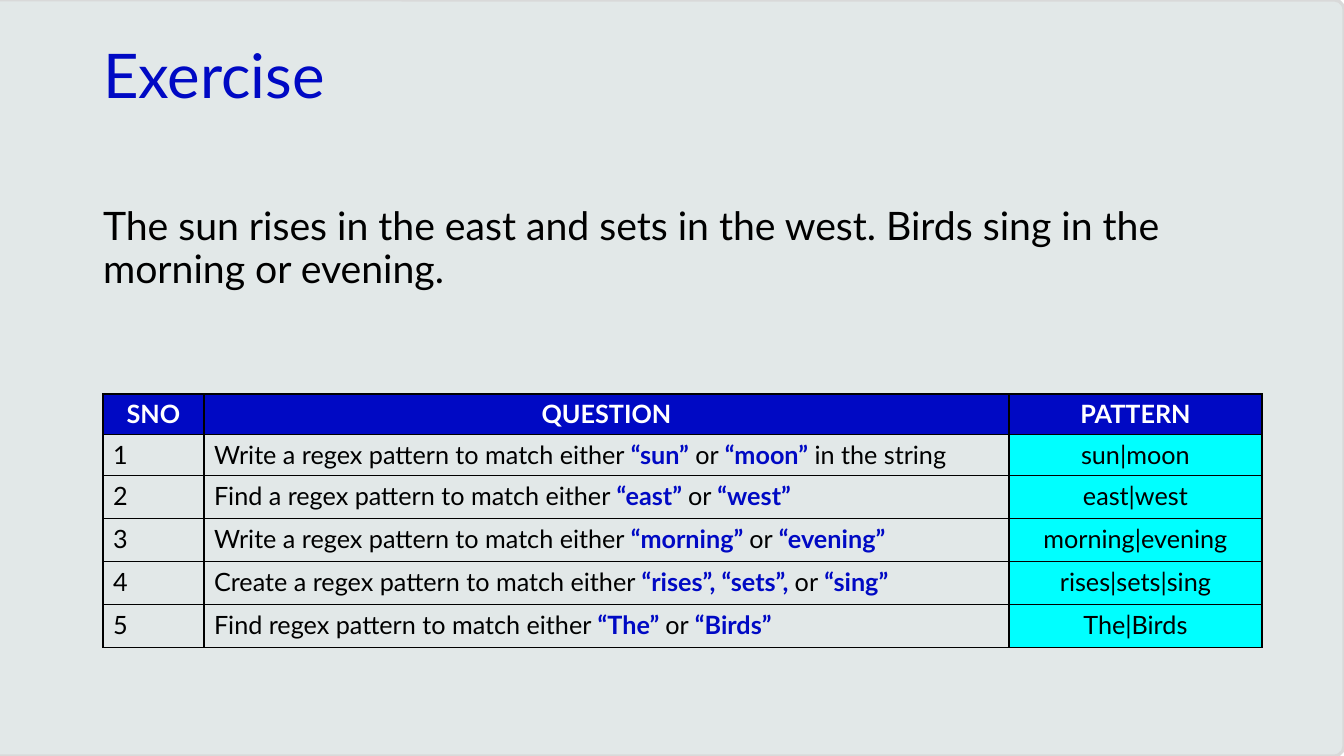
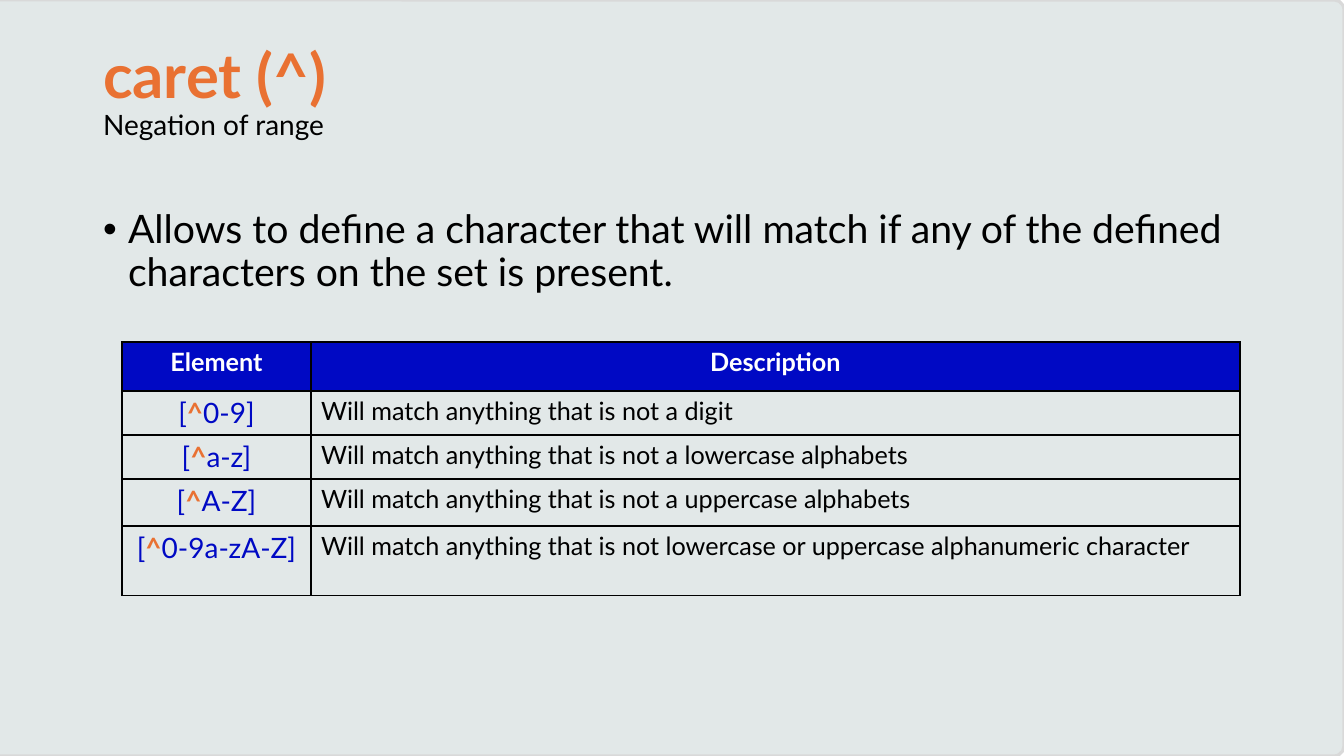
from itertools import cycle

from lxml import etree
from pptx import Presentation
from pptx.dml.color import RGBColor
from pptx.enum.shapes import MSO_SHAPE
from pptx.enum.text import MSO_ANCHOR, MSO_AUTO_SIZE, PP_ALIGN
from pptx.oxml.ns import qn
from pptx.util import Emu, Pt

LEFT, CENTER = PP_ALIGN.LEFT, PP_ALIGN.CENTER
TOP = MSO_ANCHOR.TOP
NO_FIT = MSO_AUTO_SIZE.NONE
ROUND_RECT = MSO_SHAPE.ROUNDED_RECTANGLE
TITLE_AND_BODY = 1
SLIDE_W, SLIDE_H = 1344, 756
EMU_PER_PX = 914400 / 100.8


class Theme:
    font = "Lato"
    black, white = "000000", "FFFFFF"
    blue, orange, cyan = "0009C4", "E97132", "00FFFF"
    panel, panel_line = "E2E8E8", "D9D9D9"
    # Text styles: size, bold, colour
    title = (44, False, blue)
    title_strong = (44, True, orange)
    subtitle = (20, False, black)
    body = (28, False, black)
    head = (18, True, white)
    cell = (18, False, black)
    cell_strong = (18, True, blue)
    code = (20, False, blue)
    code_strong = (20, True, orange)


# Table columns: plain style, strong style, alignment, fill
TEXT_COLUMN = (Theme.cell, Theme.cell_strong, LEFT, None)
ANSWER_COLUMN = (Theme.cell, Theme.cell_strong, CENTER, Theme.cyan)
CODE_COLUMN = (Theme.code, Theme.code_strong, CENTER, None)
HEAD = (Theme.head, Theme.head, CENTER, Theme.blue)

EXERCISE_ROWS = [
    ("SNO", "QUESTION", "PATTERN"),
    ("1", "Write a regex pattern to match either *“sun”* or *“moon”* in the string", "sun|moon"),
    ("2", "Find a regex pattern to match either *“east” *or *“west”*", "east|west"),
    ("3", "Write a regex pattern to match either *“morning” *or* “evening”*", "morning|evening"),
    ("4", "Create a regex pattern to match either *“rises”, “sets”, *or* “sing”*", "rises|sets|sing"),
    ("5", "Find regex pattern to match either *“The” *or* “Birds”*", "The|Birds"),
]
CARET_ROWS = [
    ("Element", "Description"),
    ("[*^*0-9]", "Will match anything that is not a digit"),
    ("[*^*a-z]", "Will match anything that is not a lowercase alphabets"),
    ("[*^*A-Z]", "Will match anything that is not a uppercase alphabets"),
    ("[*^*0-9a-zA-Z]",
     "Will match anything that is not lowercase or uppercase alphanumeric character"),
]


def px(n):
    return Emu(round(n * EMU_PER_PX))


def rgb(value):
    return RGBColor.from_string(value)


def set_attrs(obj, **values):
    for name, value in values.items():
        setattr(obj, name, value)


def add_run(p, text, style):
    size, bold, color = style
    r = p.add_run()
    r.text = text
    set_attrs(r.font, name=Theme.font, size=Pt(size), bold=bold)
    r.font.color.rgb = rgb(color)


def add_marked_text(p, text, plain, strong):
    """Write text, with the parts between asterisks in the strong style."""
    for part, style in zip(text.split("*"), cycle((plain, strong))):
        if part:
            add_run(p, part, style)


def add_backdrop(master, slide):
    """Put the rounded panel behind everything on the slide master."""
    sp = slide.shapes.add_shape(ROUND_RECT, px(-12), 0, px(SLIDE_W + 12), px(SLIDE_H))
    sp.adjustments[0] = 0.013
    sp.shadow.inherit = False
    sp.fill.solid()
    sp.fill.fore_color.rgb = rgb(Theme.panel)
    sp.line.color.rgb = rgb(Theme.panel_line)
    sp.line.width = Pt(2.25)
    master.element.cSld.spTree.insert(2, sp.element)


def place_placeholder(sp, box):
    """Move a placeholder to box and return its first paragraph."""
    set_attrs(sp, **dict(zip(("left", "top", "width", "height"), map(px, box))))
    tf = sp.text_frame
    set_attrs(tf, word_wrap=True, auto_size=NO_FIT, vertical_anchor=TOP)
    p = tf.paragraphs[0]
    set_attrs(p, alignment=LEFT, line_spacing=0.9)
    return p


def fill_title(slide, box, lines):
    p = place_placeholder(slide.shapes.title, box)
    for i, (text, style) in enumerate(lines):
        if i:
            p.add_line_break()
        add_run(p, text, style)


def fill_body(slide, box, text, bullet=None):
    p = place_placeholder(slide.placeholders[1], box)
    p.space_before = Pt(10)
    indent = px(25) if bullet else 0
    pPr = p._p.get_or_add_pPr()
    pPr.set("marL", str(indent))
    pPr.set("indent", str(-indent))
    if bullet:
        etree.SubElement(pPr, qn("a:buFont"), typeface="Arial")
        etree.SubElement(pPr, qn("a:buChar"), char=bullet)
    else:
        etree.SubElement(pPr, qn("a:buNone"))
    add_run(p, text, Theme.body)


def add_borders(cell):
    tcPr = cell._tc.get_or_add_tcPr()
    for side in ("a:lnL", "a:lnR", "a:lnT", "a:lnB"):
        ln = etree.SubElement(tcPr, qn(side), w=str(Pt(1)))
        fill = etree.SubElement(ln, qn("a:solidFill"))
        etree.SubElement(fill, qn("a:srgbClr"), val=Theme.black)


def fill_cell(cell, text, look):
    plain, strong, align, fill = look
    add_borders(cell)
    if fill:
        cell.fill.solid()
        cell.fill.fore_color.rgb = rgb(fill)
    else:
        cell.fill.background()
    p = cell.text_frame.paragraphs[0]
    p.alignment = align
    add_marked_text(p, text, plain, strong)


def add_grid(slide, left, top, widths, heights, rows, looks):
    """Add a table with a header row and one look for each column."""
    frame = slide.shapes.add_table(len(rows), len(widths), px(left), px(top),
                                   px(sum(widths)), px(sum(heights)))
    table = frame.table
    table.horz_banding = False
    for column, width in zip(table.columns, widths):
        column.width = px(width)
    for i, (row, height, texts) in enumerate(zip(table.rows, heights, rows)):
        row.height = px(height)
        for cell, text, look in zip(row.cells, texts, looks):
            fill_cell(cell, text, look if i else HEAD)


def build_exercise(slide, title_box, body_box):
    fill_title(slide, title_box, [("Exercise", Theme.title)])
    fill_body(slide, body_box, "The sun rises in the east and sets in the west. "
                               "Birds sing in the morning or evening.")
    add_grid(slide, 103, 394, (101, 805, 253), (40, 41, 43, 43, 43, 43),
             EXERCISE_ROWS, (TEXT_COLUMN, TEXT_COLUMN, ANSWER_COLUMN))


def build_caret(slide, title_box, body_box):
    fill_title(slide, title_box, [("caret (^)", Theme.title_strong),
                                  ("Negation of range", Theme.subtitle)])
    fill_body(slide, body_box, "Allows to define a character that will match if any of "
                               "the defined characters on the set is present.", "•")
    add_grid(slide, 122, 342, (189, 929), (49, 44, 44, 47, 70),
             CARET_ROWS, (CODE_COLUMN, TEXT_COLUMN))


def main():
    prs = Presentation()
    set_attrs(prs, slide_width=px(SLIDE_W), slide_height=px(SLIDE_H))
    layout = prs.slide_layouts[TITLE_AND_BODY]
    title_box = (93, 40, 1159, 146)
    for build, body_top in ((build_exercise, 202), (build_caret, 205)):
        slide = prs.slides.add_slide(layout)
        build(slide, title_box, (93, body_top, 1159, 480))
    add_backdrop(prs.slide_master, slide)
    prs.save("out.pptx")


if __name__ == "__main__":
    main()
